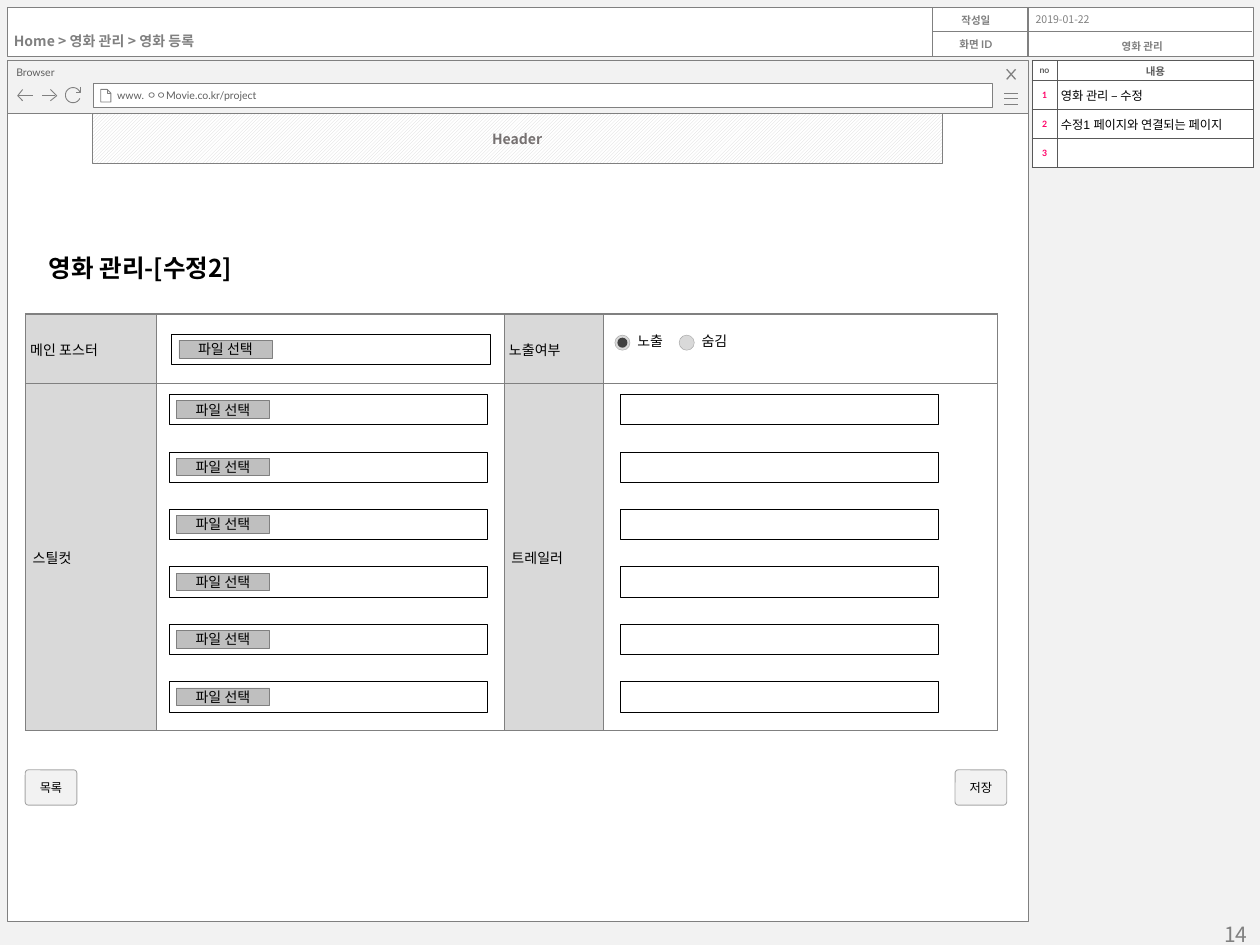
from dataclasses import dataclass
from math import cos, radians, sin

from lxml.etree import SubElement
from pptx import Presentation
from pptx.dml.color import RGBColor
from pptx.enum.dml import MSO_PATTERN
from pptx.enum.shapes import MSO_CONNECTOR, MSO_SHAPE
from pptx.enum.text import MSO_ANCHOR, PP_ALIGN
from pptx.oxml.ns import qn
from pptx.util import Inches, Pt

WHITE = RGBColor(0xFF, 0xFF, 0xFF)
BLACK = RGBColor(0, 0, 0)
PALE = RGBColor(0xF2, 0xF2, 0xF2)
LIGHT = RGBColor(0xD9, 0xD9, 0xD9)
SILVER = RGBColor(0xBF, 0xBF, 0xBF)
EDGE = RGBColor(0xA6, 0xA6, 0xA6)
GRAY = RGBColor(0x80, 0x80, 0x80)
WARM = RGBColor(0x76, 0x71, 0x71)
SLATE = RGBColor(0x5F, 0x5F, 0x5F)
RULE = RGBColor(0x59, 0x59, 0x59)
DARK = RGBColor(0x40, 0x40, 0x40)
PINK = RGBColor(0xFF, 0, 0x66)
CJK, LATO, ARIAL, CALIBRI = "Noto Sans CJK KR", "Lato", "Arial", "Calibri"
LEFT, CENTER, RIGHT = PP_ALIGN.LEFT, PP_ALIGN.CENTER, PP_ALIGN.RIGHT
TOP, MIDDLE = MSO_ANCHOR.TOP, MSO_ANCHOR.MIDDLE
Box = tuple[float, float, float, float]
Point = tuple[float, float]
PAD: Box = (0.1, 0.05, 0.1, 0.05)
BAR_PAD: Box = (0.07, 0.04, 0.07, 0.04)


@dataclass
class Icon:
    strokes: list[list[Point]]
    width: float = 0.5


@dataclass
class Cell:
    text: str = ""
    size: float = 8
    font: str = CJK
    color: RGBColor = BLACK
    bold: bool = False
    align: PP_ALIGN = LEFT
    pad: Box = (0.03, 0.03, 0, 0.03)
    fill: RGBColor = WHITE


def write(tf, text: str, *, size: float = 8, font: str = CJK, color: RGBColor = BLACK,
          bold: bool = False, align: PP_ALIGN = LEFT) -> None:
    p = tf.paragraphs[0]
    p.alignment = align
    if not text:
        p._p.get_or_add_endParaRPr().set("sz", str(int(size * 100)))
        return
    r = p.add_run()
    r.text = text
    r.font.size, r.font.name, r.font.bold = Pt(size), font, bold
    r.font.color.rgb = color
    SubElement(r._r.get_or_add_rPr(), qn("a:ea")).set("typeface", CJK)


def set_frame(tf, pad: Box, anchor: MSO_ANCHOR, wrap: bool) -> None:
    tf.margin_left, tf.margin_top, tf.margin_right, tf.margin_bottom = map(Inches, pad)
    tf.vertical_anchor, tf.word_wrap = anchor, wrap


def add_label(box: Box, text: str, pad: Box = PAD, anchor: MSO_ANCHOR = TOP,
              wrap: bool = False, **fmt) -> None:
    tf = s.shapes.add_textbox(*map(Inches, box)).text_frame
    set_frame(tf, pad, anchor, wrap)
    write(tf, text, **fmt)


def add_box(box: Box, fill: RGBColor = WHITE, line: RGBColor | None = GRAY,
            width: float = 0.5, kind: MSO_SHAPE = MSO_SHAPE.RECTANGLE, text: str = "",
            pad: Box = PAD, anchor: MSO_ANCHOR = MIDDLE, **fmt):
    sp = s.shapes.add_shape(kind, *map(Inches, box))
    sp.shadow.inherit = False
    sp.fill.solid()
    sp.fill.fore_color.rgb = fill
    if line is None:
        sp.line.fill.background()
    else:
        sp.line.color.rgb, sp.line.width = line, Pt(width)
    if text:
        set_frame(sp.text_frame, pad, anchor, True)
        write(sp.text_frame, text, **fmt)
    return sp


def add_rule(x1: float, y1: float, x2: float, y2: float) -> None:
    line = s.shapes.add_connector(MSO_CONNECTOR.STRAIGHT, *map(Inches, (x1, y1, x2, y2)))
    line.line.color.rgb, line.line.width = GRAY, Pt(0.75)
    SubElement(line._element.spPr, qn("a:effectLst"))


def add_icon(icon: Icon) -> None:
    strokes = [[(Inches(x), Inches(y)) for x, y in stroke] for stroke in icon.strokes]
    builder = s.shapes.build_freeform(*strokes[0][0])
    for i, stroke in enumerate(strokes):
        if i:
            builder.move_to(*stroke[0])
        builder.add_line_segments(stroke[1:], close=False)
    sp = builder.convert_to_shape()
    sp.shadow.inherit = False
    sp.fill.background()
    sp.line.color.rgb, sp.line.width = GRAY, Pt(icon.width)


def set_border(cell, side: str, color: RGBColor, width: float) -> None:
    ln = SubElement(cell._tc.get_or_add_tcPr(), qn(f"a:{side}"), w=str(Pt(width)))
    SubElement(SubElement(ln, qn("a:solidFill")), qn("a:srgbClr"), val=str(color))


def add_grid(x: float, y: float, cols: list[float], rows: list[float],
             cells: list[list[Cell]], color: RGBColor, top: float = 0.5) -> None:
    box = map(Inches, (x, y, sum(cols), sum(rows)))
    table = s.shapes.add_table(len(rows), len(cols), *box).table
    table.first_row = table.horz_banding = False
    for col, width in zip(table.columns, cols):
        col.width = Inches(width)
    for i, (row, height) in enumerate(zip(table.rows, rows)):
        row.height = Inches(height)
        for cell, item in zip(row.cells, cells[i]):
            for side in ("lnL", "lnR", "lnT", "lnB"):
                set_border(cell, side, color, top if side == "lnT" and i == 0 else 0.5)
            cell.fill.solid()
            cell.fill.fore_color.rgb = item.fill
            cell.vertical_anchor = MIDDLE
            (cell.margin_left, cell.margin_top,
             cell.margin_right, cell.margin_bottom) = map(Inches, item.pad)
            write(cell.text_frame, item.text, size=item.size, font=item.font,
                  color=item.color, bold=item.bold, align=item.align)


def add_field(x: float, y: float, button: bool = False) -> None:
    add_box((x, y, 2.53, 0.24), line=BLACK, width=0.25)
    if button:
        add_box((x + 0.06, y + 0.05, 0.74, 0.14), SILVER, width=0.25,
                text="파일 선택", align=CENTER)


def add_radio(x: float, text: str, chosen: bool) -> None:
    add_box((x, 2.66, 0.12, 0.12), LIGHT, EDGE, 0.25, MSO_SHAPE.OVAL)
    if chosen:
        add_box((x + 0.02, 2.68, 0.08, 0.08), DARK, None, kind=MSO_SHAPE.OVAL)
    add_label((x + 0.08, 2.59, 0.43, 0.24), text)


prs = Presentation()
prs.slide_width, prs.slide_height = Inches(10), Inches(7.5)
s = prs.slides.add_slide(prs.slide_layouts[6])
s.background.fill.solid()
s.background.fill.fore_color.rgb = PALE

add_box((0.06, 0.9, 8.1, 6.41), width=0.25)
add_box((0.06, 0.48, 8.1, 0.42), PALE, text="Browser", pad=BAR_PAD, anchor=TOP,
        size=6, font=LATO, color=SLATE)
add_box((0.74, 0.66, 7.14, 0.19), text="www. ㅇㅇMovie.co.kr/project",
        pad=(0.19, 0.04, 0.07, 0.04), size=6, font=LATO, color=SLATE)
reload_arc = [(0.58 + 0.06 * cos(radians(a)), 0.755 + 0.06 * sin(radians(a)))
              for a in range(25, 336, 10)]
for icon in (
    Icon([[(7.97, y), (8.08, y)] for y in (0.74, 0.78, 0.83)]),
    Icon([[(8.06, 0.55), (7.99, 0.63)], [(7.99, 0.55), (8.06, 0.63)]], 0.75),
    Icon([[(0.85, 0.71), (0.85, 0.74), (0.88, 0.74)],
          [(0.8, 0.71), (0.8, 0.81), (0.88, 0.81), (0.88, 0.74), (0.85, 0.71), (0.8, 0.71)]]),
    Icon([[(0.18, 0.8), (0.14, 0.76), (0.18, 0.71)], [(0.14, 0.76), (0.26, 0.76)]]),
    Icon([[(0.4, 0.71), (0.45, 0.76), (0.4, 0.8)], [(0.44, 0.76), (0.33, 0.76)]]),
    Icon([[(0.64, 0.69), (0.64, 0.73), (0.6, 0.73)], reload_arc]),
):
    add_icon(icon)

add_box((0.06, 0.06, 9.89, 0.39))
for y, text in ((0.06, "작성일"), (0.25, "화면 ID")):
    add_label((7.4, y, 0.75, 0.2), text, (0, 0, 0.06, 0), MIDDLE,
              size=6, font=LATO, color=GRAY, bold=True, align=CENTER)
add_rule(7.4, 0.25, 9.94, 0.25)
for x in (7.4, 8.16):
    add_rule(x, 0.06, x, 0.45)
add_label((8.16, 0.07, 1.77, 0.18), "2019-01-22", (0.06, 0.03, 0, 0.03), size=6, color=GRAY)
add_label((8.15, 0.25, 1.77, 0.2), "영화 관리", (0.06, 0.03, 0, 0), MIDDLE,
          size=6, font=ARIAL, color=GRAY, bold=True, align=CENTER)
add_label((0.04, 0.22, 1.77, 0.21), "Home > 영화 관리 > 영화 등록", BAR_PAD,
          color=GRAY, bold=True)
add_label((7.75, 7.33, 2.25, 0.17), "14", anchor=MIDDLE, wrap=True,
          size=12, color=GRAY, align=RIGHT)

notes = [[Cell("no", 5, LATO, SLATE, True, CENTER, (0, 0, 0, 0)),
          Cell("내용", 6, ARIAL, SLATE, True, CENTER, (0.01, 0.01, 0.01, 0))]]
for n, text in enumerate(("영화 관리 – 수정", "수정1 페이지와 연결되는 페이지", ""), 1):
    notes.append([Cell(str(n), 5, LATO, PINK, True, CENTER, (0, 0, 0, 0)),
                  Cell(text, 7, ARIAL)])
add_grid(8.19, 0.48, [0.2, 1.56], [0.16, 0.23, 0.23, 0.23], notes, RULE)

add_label((-0.25, 2.01, 2.73, 0.24), "영화 관리-[수정2]", (0, 0, 0, 0), wrap=True,
          size=14, bold=True, align=CENTER)
header = add_box((0.73, 0.9, 6.75, 0.4), text="Header", pad=BAR_PAD,
                 color=WARM, bold=True, align=CENTER)
header.fill.patterned()
header.fill.pattern = MSO_PATTERN.LIGHT_UPWARD_DIAGONAL
header.fill.fore_color.rgb, header.fill.back_color.rgb = LIGHT, WHITE

form = [[cell for text in names
         for cell in (Cell(text, pad=(inset, 0.01, 0.01, 0), fill=LIGHT), Cell())]
        for inset, names in ((0.04, ("메인 포스터", "노출여부")), (0.06, ("스틸컷", "트레일러")))]
add_grid(0.2, 2.49, [1.04, 2.76, 0.79, 3.13], [0.55, 2.76], form, GRAY, top=1)
add_field(1.36, 2.65, button=True)
for i in range(6):
    y = 3.13 + i * 0.456
    add_field(1.34, y, button=True)
    add_field(4.92, y)
add_radio(4.88, "노출", True)
add_radio(5.39, "숨김", False)

for x, text in ((0.2, "목록"), (7.58, "저장")):
    button = add_box((x, 6.11, 0.41, 0.28), PALE, EDGE, kind=MSO_SHAPE.ROUNDED_RECTANGLE,
                     text=text, size=7, font=CALIBRI, align=CENTER)
    button.adjustments[0] = 0.09

prs.save("out.pptx")
